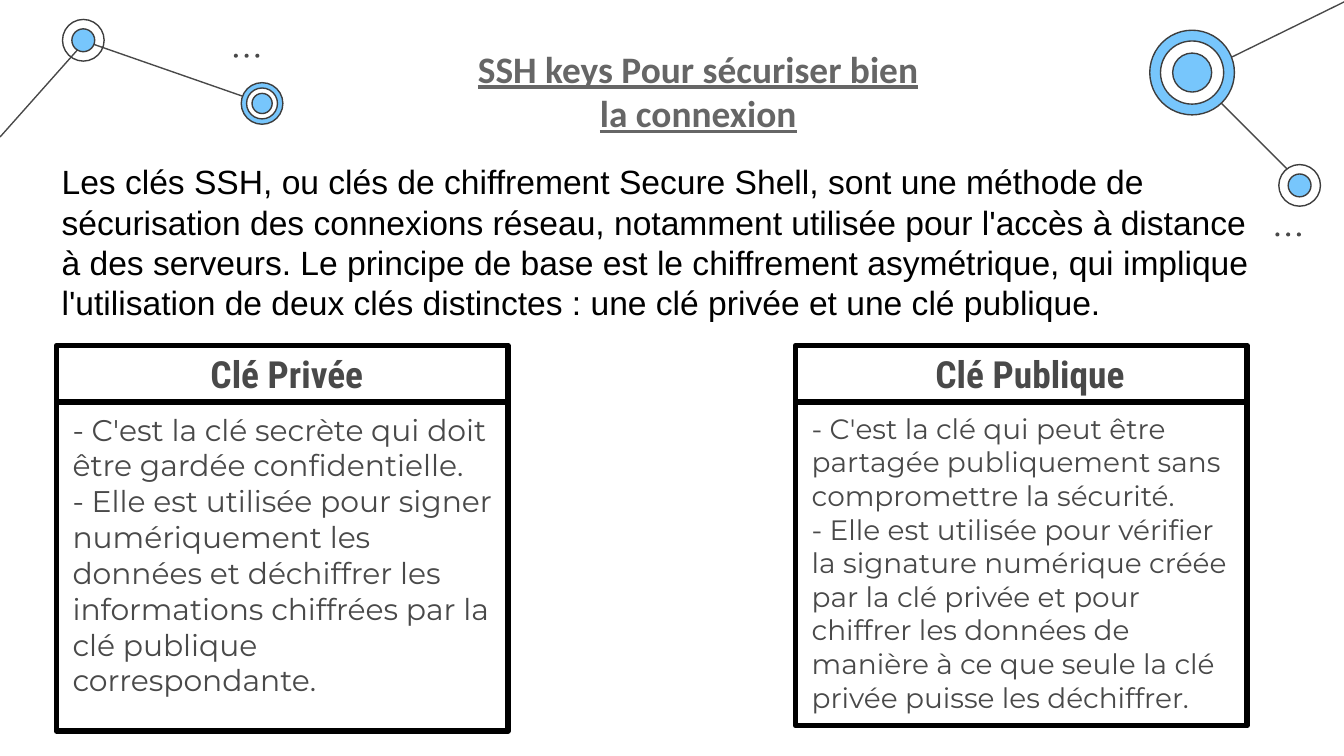
from typing import NamedTuple, Optional

from lxml.etree import SubElement
from pptx import Presentation
from pptx.dml.color import RGBColor
from pptx.enum.shapes import MSO_CONNECTOR, MSO_SHAPE
from pptx.enum.text import MSO_ANCHOR, PP_ALIGN
from pptx.oxml.ns import qn
from pptx.util import Inches, Pt

BLACK = RGBColor(0x00, 0x00, 0x00)
WHITE = RGBColor(0xFF, 0xFF, 0xFF)
SKY = RGBColor(0x77, 0xC6, 0xFC)
OUTLINE = RGBColor(0x3D, 0x3D, 0x3D)
GRAY = RGBColor(0x49, 0x49, 0x49)
TITLE_GRAY = RGBColor(0x66, 0x66, 0x66)


class Box(NamedTuple):
    left: float
    top: float
    width: float
    height: float


class Margins(NamedTuple):
    left: float
    top: float
    right: float
    bottom: float


class TextStyle(NamedTuple):
    font: str
    size: float
    color: RGBColor
    bold: bool = False
    underline: bool = False
    alignment: PP_ALIGN = PP_ALIGN.LEFT


class Ring(NamedTuple):
    diameter: float
    fill: Optional[RGBColor]


class Node(NamedTuple):
    x: float
    y: float
    rings: tuple[Ring, ...]


class Card(NamedTuple):
    left: float
    heading: str
    heading_indent: float
    body_height: float
    body_size: float
    points: tuple[str, ...]


LINKS = (
    ((9.68, 1.36), (8.87, 0.55)),
    ((0.64, 0.31), (1.96, 0.77)),
    ((0, 1.02), (0.64, 0.3)),
    ((10.01, 0.01), (8.91, 0.55)),
)
NODES = (
    Node(0.62, 0.3, (Ring(0.31, None), Ring(0.17, SKY))),
    Node(1.95, 0.77, (Ring(0.31, SKY), Ring(0.23, WHITE), Ring(0.15, SKY))),
    Node(8.87, 0.54, (Ring(0.63, SKY), Ring(0.47, WHITE), Ring(0.29, SKY))),
    Node(9.67, 1.38, (Ring(0.31, WHITE), Ring(0.17, SKY))),
)
DOT_ROWS = ((1.74, 0.4), (9.49, 1.73))
DOT_SIZE, DOT_PITCH = 0.03, 0.08

TITLE = "SSH keys Pour sécuriser bien\vla connexion"
INTRODUCTION = (
    "Les clés SSH, ou clés de chiffrement Secure Shell, sont une méthode de "
    "sécurisation des connexions réseau, notamment utilisée pour l'accès à distance "
    "à des serveurs. Le principe de base est le chiffrement asymétrique, qui implique "
    "l'utilisation de deux clés distinctes : une clé privée et une clé publique."
)
CARDS = (
    Card(0.42, "Clé Privée", 0.07, 2.45, 16, (
        "- C'est la clé secrète qui doit être gardée confidentielle.",
        "- Elle est utilisée pour signer numériquement les données et déchiffrer les "
        "informations chiffrées par la clé publique correspondante.",
    )),
    Card(5.92, "Clé Publique", 0.13, 2.41, 15, (
        "- C'est la clé qui peut être partagée publiquement sans compromettre la sécurité.",
        "- Elle est utilisée pour vérifier la signature numérique créée par la clé privée "
        "et pour chiffrer les données de manière à ce que seule la clé privée puisse "
        "les déchiffrer.",
    )),
)
CARD_TOP, CARD_WIDTH, HEADING_HEIGHT = 2.57, 3.36, 0.42


def add_link(slide, start: tuple[float, float], end: tuple[float, float]) -> None:
    link = slide.shapes.add_connector(
        MSO_CONNECTOR.STRAIGHT, *(Inches(value) for value in (*start, *end)))
    link.line.color.rgb = GRAY
    link.line.width = Pt(0.75)
    SubElement(link._element.spPr, qn("a:effectLst"))


def add_preset(slide, kind: MSO_SHAPE, box: Box, fill: Optional[RGBColor],
               line: Optional[RGBColor], line_width: float = 0.75):
    shape = slide.shapes.add_shape(kind, *(Inches(value) for value in box))
    shape.shadow.inherit = False
    if fill is None:
        shape.fill.background()
    else:
        shape.fill.solid()
        shape.fill.fore_color.rgb = fill
    if line is None:
        shape.line.fill.background()
    else:
        shape.line.color.rgb = line
        shape.line.width = Pt(line_width)
    return shape


def add_node(slide, node: Node) -> None:
    for diameter, fill in node.rings:
        box = Box(node.x - diameter / 2, node.y - diameter / 2, diameter, diameter)
        add_preset(slide, MSO_SHAPE.OVAL, box, fill, OUTLINE)


def add_dots(slide, left: float, top: float) -> None:
    for index in range(3):
        box = Box(left + index * DOT_PITCH, top, DOT_SIZE, DOT_SIZE)
        add_preset(slide, MSO_SHAPE.OVAL, box, GRAY, None)


def write_text(shape, paragraphs: tuple[str, ...], style: TextStyle, margins: Margins) -> None:
    frame = shape.text_frame
    frame.word_wrap = True
    frame.vertical_anchor = MSO_ANCHOR.TOP
    frame.margin_left, frame.margin_top, frame.margin_right, frame.margin_bottom = (
        Inches(value) for value in margins)
    for index, text in enumerate(paragraphs):
        paragraph = frame.add_paragraph() if index else frame.paragraphs[0]
        paragraph.text = text
        paragraph.alignment = style.alignment
        paragraph.font.name = style.font
        paragraph.font.size = Pt(style.size)
        paragraph.font.color.rgb = style.color
        paragraph.font.bold = style.bold
        paragraph.font.underline = style.underline


def add_text(slide, box: Box, text: str, style: TextStyle, margins: Margins) -> None:
    text_box = slide.shapes.add_textbox(*(Inches(value) for value in box))
    write_text(text_box, (text,), style, margins)


def add_card(slide, card: Card) -> None:
    heading_box = Box(card.left, CARD_TOP, CARD_WIDTH, HEADING_HEIGHT)
    heading = add_preset(slide, MSO_SHAPE.RECTANGLE, heading_box, None, BLACK, 2.89)
    write_text(heading, (card.heading,),
               TextStyle("Roboto Condensed", 20, GRAY, bold=True, alignment=PP_ALIGN.CENTER),
               Margins(0.12 + card.heading_indent, 0.04, 0.12, 0.12))
    body_box = Box(card.left, CARD_TOP + HEADING_HEIGHT, CARD_WIDTH, card.body_height)
    body = add_preset(slide, MSO_SHAPE.RECTANGLE, body_box, None, BLACK, 2.89)
    write_text(body, card.points, TextStyle("Montserrat", card.body_size, GRAY),
               Margins(0.12, 0.07, 0.1, 0.07))


def main() -> None:
    presentation = Presentation()
    presentation.slide_width = Inches(10)
    presentation.slide_height = Inches(10) * 9 // 16
    slide = presentation.slides.add_slide(presentation.slide_layouts[6])
    for start, end in LINKS:
        add_link(slide, start, end)
    for node in NODES:
        add_node(slide, node)
    for left, top in DOT_ROWS:
        add_dots(slide, left, top)
    add_text(slide, Box(2.22, 0.24, 5.95, 0.57), TITLE,
             TextStyle("Calibri", 20, TITLE_GRAY, True, True, PP_ALIGN.CENTER),
             Margins(0.1, 0.1, 0.1, 0.1))
    add_text(slide, Box(0.36, 1.15, 9.11, 2.25), INTRODUCTION,
             TextStyle("Arial", 18, BLACK), Margins(0.1, 0.05, 0.1, 0.05))
    for card in CARDS:
        add_card(slide, card)
    presentation.save("out.pptx")


if __name__ == "__main__":
    main()
